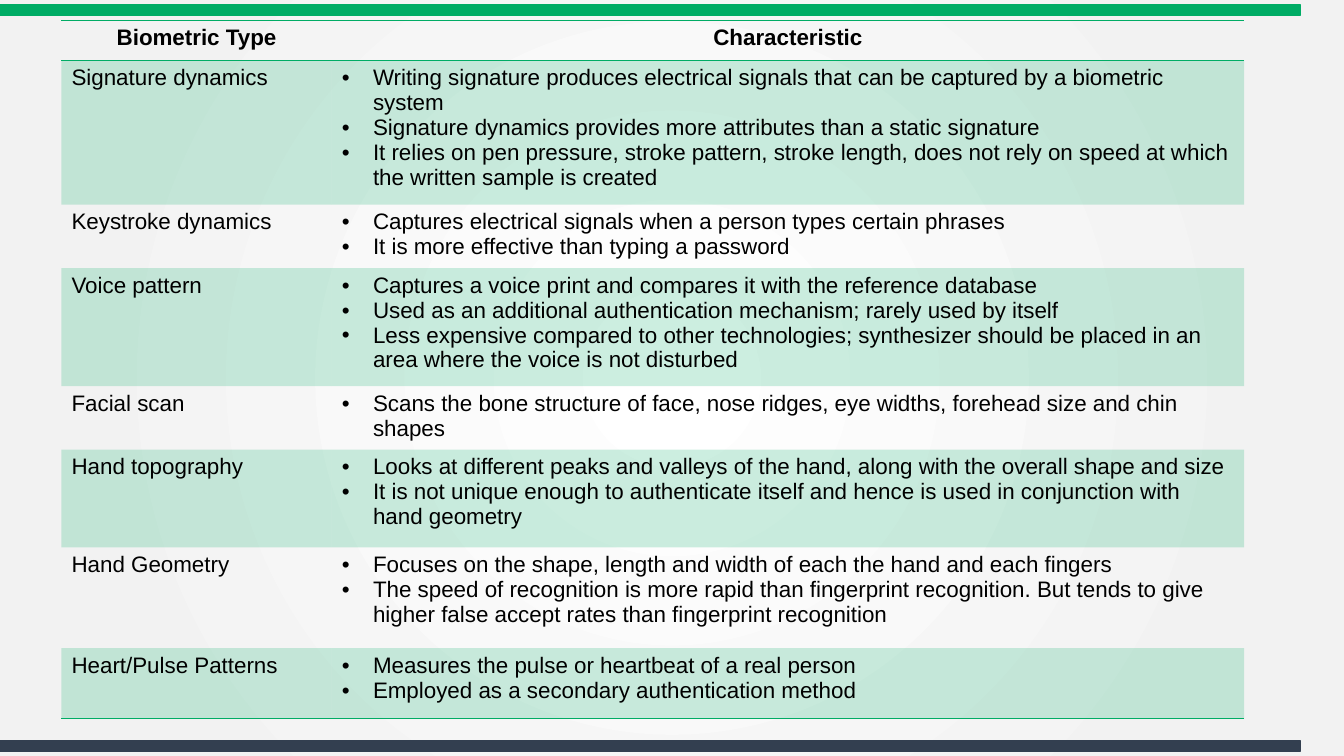
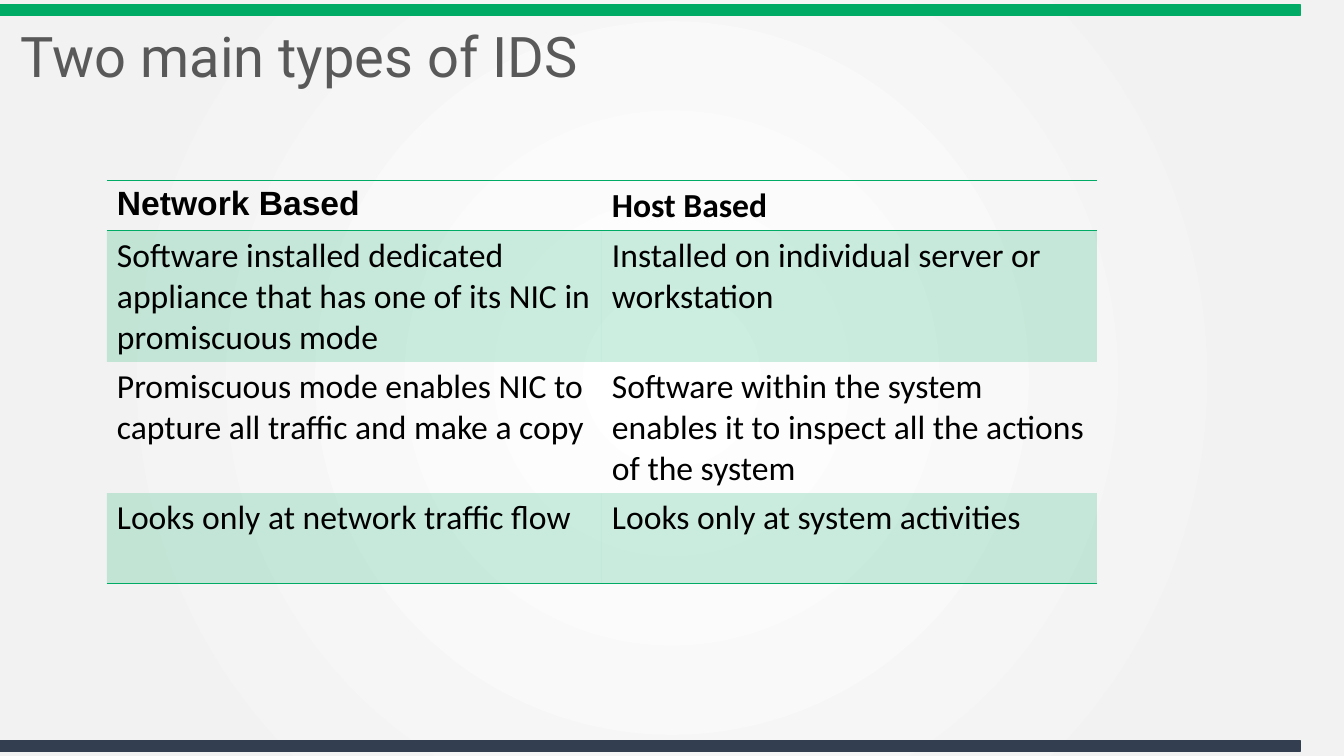
from dataclasses import dataclass
from typing import Union

from lxml import etree
from pptx import Presentation
from pptx.dml.color import RGBColor
from pptx.enum.shapes import MSO_SHAPE
from pptx.enum.text import MSO_ANCHOR, PP_ALIGN
from pptx.oxml.ns import qn
from pptx.util import Emu, Pt

EMU_PER_PX = 9144
RECTANGLE = MSO_SHAPE.RECTANGLE
MIDDLE = MSO_ANCHOR.MIDDLE
LEFT = PP_ALIGN.LEFT
CENTER = PP_ALIGN.CENTER

GREEN = "00AC65"
NAVY = "333F50"
GREY = "595959"
BLACK = "000000"
BACKGROUND_STOPS = ((0, "FFFFFF"), (81, "F2F2F2"), (100, "F2F2F2"))
STRIPE_OPACITY = 20
BULLET_INDENT = 31
PLAIN_TABLE_STYLE = "{2D5ABB26-0587-4C30-8999-92F81FD0307C}"

CellText = Union[str, tuple[str, ...]]


@dataclass(frozen=True)
class Band:
    top: int
    color: str


@dataclass(frozen=True)
class TextStyle:
    face: str
    size: int
    color: str = BLACK
    bold: bool = False
    align: PP_ALIGN = LEFT


@dataclass(frozen=True)
class Grid:
    left: int
    top: int
    widths: tuple[int, ...]
    heights: tuple[int, ...]
    header_styles: tuple[TextStyle, ...]
    body_style: TextStyle
    rows: tuple[tuple[CellText, ...], ...]


BANDS = (Band(5, GREEN), Band(735, NAVY))
TITLE_STYLE = TextStyle("Roboto", 40, GREY)
CENTERED_HEADER = TextStyle("Arial", 16, bold=True, align=CENTER)

BIOMETRICS = Grid(
    61, 20, (268, 905), (40, 143, 63, 117, 63, 97, 100, 70),
    (CENTERED_HEADER, CENTERED_HEADER),
    TextStyle("Arial", 16),
    (
        ("Biometric Type", "Characteristic"),
        ("Signature dynamics", (
            "Writing signature produces electrical signals that can be captured by a biometric system",
            "Signature dynamics provides more attributes than a static signature",
            "It relies on pen pressure, stroke pattern, stroke length, does not rely on speed "
            "at which the written sample is created",
        )),
        ("Keystroke dynamics", (
            "Captures electrical signals when a person types certain phrases",
            "It is more effective than typing a password",
        )),
        ("Voice pattern", (
            "Captures a voice print and compares it with the reference database",
            "Used as an additional authentication mechanism; rarely used by itself",
            "Less expensive compared to other technologies; synthesizer should be placed in an "
            "area where the voice is not disturbed",
        )),
        ("Facial scan", (
            "Scans the bone structure of face, nose ridges, eye widths, forehead size and chin shapes",
        )),
        ("Hand topography", (
            "Looks at different peaks and valleys of the hand, along with the overall shape and size",
            "It is not unique enough to authenticate itself and hence is used in conjunction with "
            "hand geometry",
        )),
        ("Hand Geometry", (
            "Focuses on the shape, length and width of each the hand and each fingers",
            "The speed of recognition is more rapid than fingerprint recognition. But tends to give "
            "higher false accept rates than fingerprint recognition",
        )),
        ("Heart/Pulse Patterns", (
            "Measures the pulse or heartbeat of a real person",
            "Employed as a secondary authentication method",
        )),
    ),
)

IDS_TYPES = Grid(
    106, 179, (491, 491), (50, 130, 130, 90),
    (TextStyle("Arial", 24, bold=True), TextStyle("Calibri", 24, bold=True)),
    TextStyle("Calibri", 24),
    (
        ("Network Based", "Host Based"),
        (
            "Software installed dedicated appliance that has one of its NIC in promiscuous mode",
            "Installed on individual server or workstation",
        ),
        (
            "Promiscuous mode enables NIC to capture all traffic and make a copy",
            "Software within the system enables it to inspect all the actions of the system",
        ),
        ("Looks only at network traffic flow", "Looks only at system activities"),
    ),
)


def px(length: int) -> Emu:
    return Emu(length * EMU_PER_PX)


def rgb(color: str) -> RGBColor:
    return RGBColor.from_string(color)


def add_child(parent, tag: str, **attributes):
    return etree.SubElement(parent, qn(tag), attributes)


def set_background(master) -> None:
    master.background.fill.gradient()
    gradient = next(master.element.iter(qn("a:gradFill")))
    for child in list(gradient):
        gradient.remove(child)
    stops = add_child(gradient, "a:gsLst")
    for percent, color in BACKGROUND_STOPS:
        stop = add_child(stops, "a:gs", pos=str(percent * 1000))
        add_child(stop, "a:srgbClr", val=color)
    circle = add_child(gradient, "a:path", path="circle")
    add_child(circle, "a:fillToRect", l="50000", t="50000", r="50000", b="50000")


def write(para, text: str, style: TextStyle) -> None:
    para.alignment = style.align
    span = para.add_run()
    span.text = text
    span.font.name = style.face
    span.font.size = Pt(style.size)
    span.font.bold = style.bold
    span.font.color.rgb = rgb(style.color)


def add_bullet(para) -> None:
    properties = para._p.get_or_add_pPr()
    properties.set("marL", str(px(BULLET_INDENT)))
    properties.set("indent", str(px(-BULLET_INDENT)))
    add_child(properties, "a:buFont", typeface="Arial")
    add_child(properties, "a:buChar", char="•")


def fill_text(frame, content: CellText, style: TextStyle) -> None:
    bulleted = isinstance(content, tuple)
    for index, text in enumerate(content if bulleted else (content,)):
        para = frame.add_paragraph() if index else frame.paragraphs[0]
        write(para, text, style)
        if bulleted:
            add_bullet(para)


def style_cell(cell, striped: bool, edges: tuple[str, ...]) -> None:
    properties = cell._tc.get_or_add_tcPr()
    for edge in edges:
        line = add_child(properties, edge, w=str(Pt(1)))
        add_child(add_child(line, "a:solidFill"), "a:srgbClr", val=GREEN)
    if striped:
        fill = add_child(properties, "a:solidFill")
        color = add_child(fill, "a:srgbClr", val=GREEN)
        add_child(color, "a:alpha", val=str(STRIPE_OPACITY * 1000))
    else:
        add_child(properties, "a:noFill")


def draw_grid(page, grid: Grid) -> None:
    frame = page.shapes.add_table(
        len(grid.heights), len(grid.widths), px(grid.left), px(grid.top),
        px(sum(grid.widths)), px(sum(grid.heights)))
    next(frame.element.iter(qn("a:tableStyleId"))).text = PLAIN_TABLE_STYLE
    table = frame.table
    table.horz_banding = False
    for column, width in zip(table.columns, grid.widths):
        column.width = px(width)
    for row, height in zip(table.rows, grid.heights):
        row.height = px(height)
    last = len(grid.rows) - 1
    for row_index, contents in enumerate(grid.rows):
        edges = {0: ("a:lnT", "a:lnB"), last: ("a:lnB",)}.get(row_index, ())
        for column_index, content in enumerate(contents):
            cell = table.cell(row_index, column_index)
            style = grid.body_style if row_index else grid.header_styles[column_index]
            fill_text(cell.text_frame, content, style)
            style_cell(cell, row_index % 2 == 1, edges)


def draw_band(page, band: Band) -> None:
    bar = page.shapes.add_shape(RECTANGLE, 0, px(band.top), px(1290), px(10))
    bar.shadow.inherit = False
    bar.fill.solid()
    bar.fill.fore_color.rgb = rgb(band.color)
    bar.line.color.rgb = rgb(band.color)
    bar.line.width = Pt(1)


def draw_title(page, text: str) -> None:
    box = page.shapes.add_textbox(px(11), px(19), px(1252), px(80))
    frame = box.text_frame
    frame.word_wrap = True
    frame.vertical_anchor = MIDDLE
    frame.paragraphs[0].line_spacing = 0.9
    write(frame.paragraphs[0], text, TITLE_STYLE)


def add_page(deck, grid: Grid, title: str = "") -> None:
    page = deck.slides.add_slide(deck.slide_layouts[6])
    for band in BANDS:
        draw_band(page, band)
    if title:
        draw_title(page, title)
    draw_grid(page, grid)


def main() -> None:
    deck = Presentation()
    deck.slide_width = px(1333)
    deck.slide_height = px(750)
    set_background(deck.slide_master)
    add_page(deck, BIOMETRICS)
    add_page(deck, IDS_TYPES, "Two main types of IDS")
    deck.save("out.pptx")


if __name__ == "__main__":
    main()
